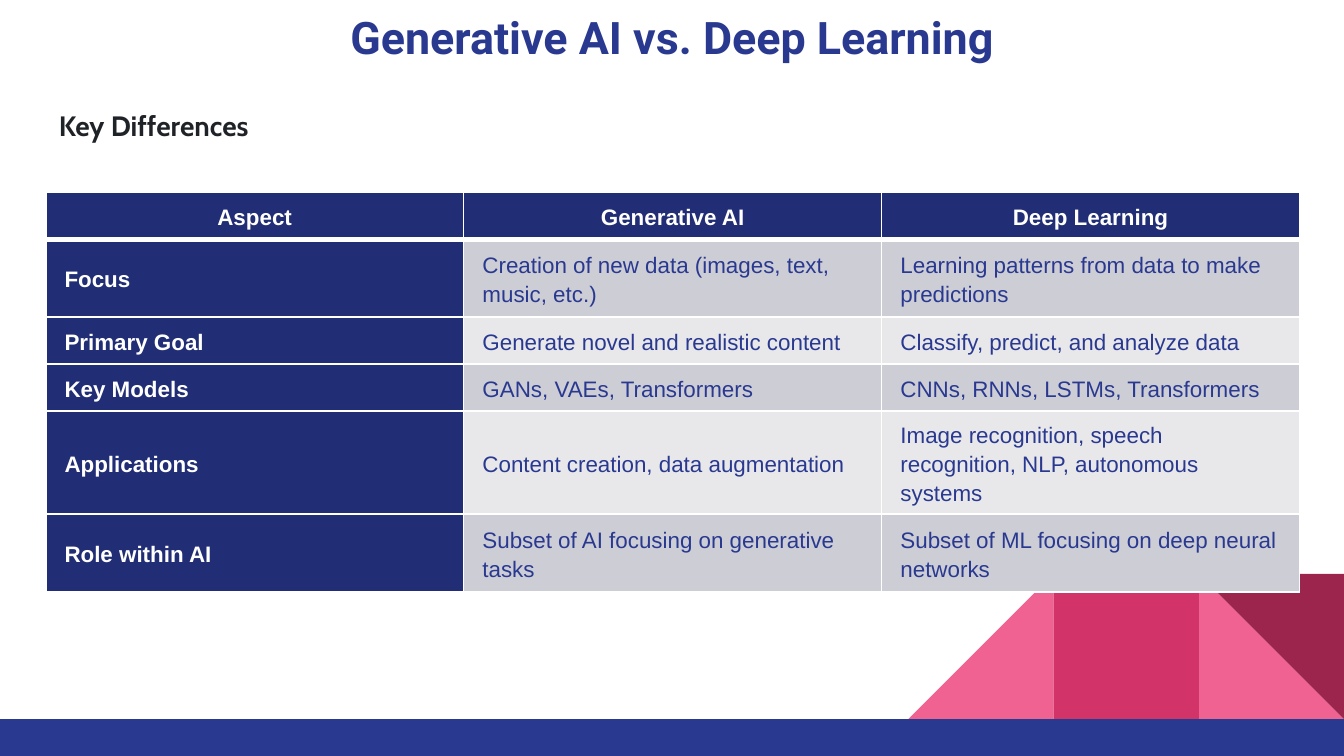
"""Build a slide that compares generative AI with deep learning in a table."""
from typing import NamedTuple

from lxml.etree import SubElement
from pptx import Presentation
from pptx.dml.color import RGBColor
from pptx.enum.shapes import MSO_SHAPE as Preset
from pptx.enum.text import MSO_ANCHOR as Anchor, MSO_AUTO_SIZE as AutoSize, PP_ALIGN as Align
from pptx.oxml.ns import qn
from pptx.util import Inches, Pt

COLORS = {
    "blue": "2A3990", "navy": "212D74", "pink": "F06292", "rose": "D23369",
    "wine": "9C254D", "ink": "1F2328", "white": "FFFFFF", "grey": "CDCDD6", "light": "E8E8EB",
}


class Decoration(NamedTuple):
    preset: Preset
    left: float
    top: float
    width: float
    height: float
    color: str
    flipped: bool = False
    rotation: int = 0


class Comparison(NamedTuple):
    height: float
    aspect: str
    generative: str
    deep: str


TILE = 1.08
TILE_TOP = 4.27
DECORATIONS = [
    Decoration(Preset.RIGHT_TRIANGLE, 8.92, TILE_TOP, TILE, TILE, "pink"),
    Decoration(Preset.RIGHT_TRIANGLE, 6.76, TILE_TOP, TILE, TILE, "pink", flipped=True),
    Decoration(Preset.RECTANGLE, 7.84, TILE_TOP, TILE, TILE, "rose"),
    Decoration(Preset.RIGHT_TRIANGLE, 8.92, TILE_TOP, TILE, TILE, "wine", rotation=180),
    Decoration(Preset.RECTANGLE, 0, 5.35, 10, 0.28, "blue"),
]
COMPARISONS = [
    Comparison(0.35, "Aspect", "Generative AI", "Deep Learning"),
    Comparison(0.58, "Focus", "Creation of new data (images, text, music, etc.)",
               "Learning patterns from data to make predictions"),
    Comparison(0.35, "Primary Goal", "Generate novel and realistic content",
               "Classify, predict, and analyze data"),
    Comparison(0.35, "Key Models", "GANs, VAEs, Transformers",
               "CNNs, RNNs, LSTMs, Transformers"),
    Comparison(0.58, "Applications", "Content creation, data augmentation",
               "Image recognition, speech recognition, NLP, autonomous systems"),
    Comparison(0.58, "Role within AI", "Subset of AI focusing on generative tasks",
               "Subset of ML focusing on deep neural networks"),
]
CELL_FORMAT = {
    "vertical_anchor": Anchor.MIDDLE,
    "margin_left": Inches(0.14), "margin_right": Inches(0.14),
    "margin_top": Inches(0.06), "margin_bottom": Inches(0.06),
}
TITLE_FORMAT = {
    "vertical_anchor": Anchor.TOP, "auto_size": AutoSize.NONE, "word_wrap": True,
    "margin_left": Inches(0.1), "margin_right": Inches(0.1),
    "margin_top": Inches(0.1), "margin_bottom": Inches(0.1),
}
SUBTITLE_FORMAT = {"vertical_anchor": Anchor.MIDDLE, "word_wrap": True}


def apply_format(target, values: dict) -> None:
    for name, value in values.items():
        setattr(target, name, value)


def place(shape, left: float, top: float, width: float, height: float) -> None:
    apply_format(shape, {"left": Inches(left), "top": Inches(top),
                         "width": Inches(width), "height": Inches(height)})


def rgb(color: str) -> RGBColor:
    return RGBColor.from_string(COLORS[color])


def write(text_frame, text: str, font: str, size: int, color: str, bold: bool = True,
          alignment: Align = Align.LEFT, spacing: float = 1.0) -> None:
    paragraph = text_frame.paragraphs[0]
    apply_format(paragraph, {"alignment": alignment, "line_spacing": spacing})
    run = paragraph.add_run()
    run.text = text
    apply_format(run.font, {"name": font, "size": Pt(size), "bold": bold})
    run.font.color.rgb = rgb(color)


def draw_decoration(slide, decoration: Decoration) -> None:
    box = [Inches(value) for value in decoration[1:5]]
    shape = slide.shapes.add_shape(decoration.preset, *box)
    shape.shadow.inherit = False
    shape.fill.solid()
    shape.fill.fore_color.rgb = rgb(decoration.color)
    shape.line.fill.background()
    shape.rotation = decoration.rotation
    if decoration.flipped:
        shape._element.spPr.find(qn("a:xfrm")).set("flipH", "1")


def set_borders(cell, top_width: int, bottom_width: int) -> None:
    properties = cell._tc.get_or_add_tcPr()
    widths = {"a:lnL": 1, "a:lnR": 1, "a:lnT": top_width, "a:lnB": bottom_width}
    for index, (tag, width) in enumerate(widths.items()):
        line = SubElement(properties, qn(tag), w=str(Pt(width)))
        fill = SubElement(line, qn("a:solidFill"))
        SubElement(fill, qn("a:srgbClr"), val=COLORS["white"])
        properties.insert(index, line)


def draw_table(slide, comparisons: list[Comparison]) -> None:
    frame = slide.shapes.add_table(len(comparisons), 3, Inches(0.34), Inches(1.43),
                                   Inches(9.32), Inches(3.04))
    table = frame.table
    for column in table.columns:
        column.width = Inches(3.11)
    for row_index, comparison in enumerate(comparisons):
        table.rows[row_index].height = Inches(comparison.height)
        header = row_index == 0
        for column_index, text in enumerate(comparison[1:]):
            cell = table.cell(row_index, column_index)
            label = header or column_index == 0
            apply_format(cell, CELL_FORMAT)
            cell.fill.solid()
            band = "grey" if row_index % 2 else "light"
            cell.fill.fore_color.rgb = rgb("navy" if label else band)
            set_borders(cell, 3 if row_index == 1 else 1, 3 if header else 1)
            write(cell.text_frame, text, "Arial", 12, "white" if label else "blue", label,
                  Align.CENTER if header else Align.LEFT, 1.15)
    frame.height = Inches(3.04)


def main() -> None:
    presentation = Presentation()
    apply_format(presentation, {"slide_width": Inches(10), "slide_height": Inches(10) * 9 // 16})
    slide = presentation.slides.add_slide(presentation.slide_layouts[5])
    for decoration in DECORATIONS:
        draw_decoration(slide, decoration)

    title = slide.shapes.title
    place(title, 0, -0.03, 10, 0.57)
    apply_format(title.text_frame, TITLE_FORMAT)
    write(title.text_frame, "Generative AI vs. Deep Learning", "Roboto", 24, "blue",
          alignment=Align.CENTER)

    draw_table(slide, COMPARISONS)

    subtitle = slide.shapes.add_textbox(Inches(0.34), Inches(0.68), Inches(10), Inches(0.5))
    apply_format(subtitle.text_frame, SUBTITLE_FORMAT)
    write(subtitle.text_frame, "Key Differences", "Cabin", 15, "ink")
    presentation.save("out.pptx")


if __name__ == "__main__":
    main()
